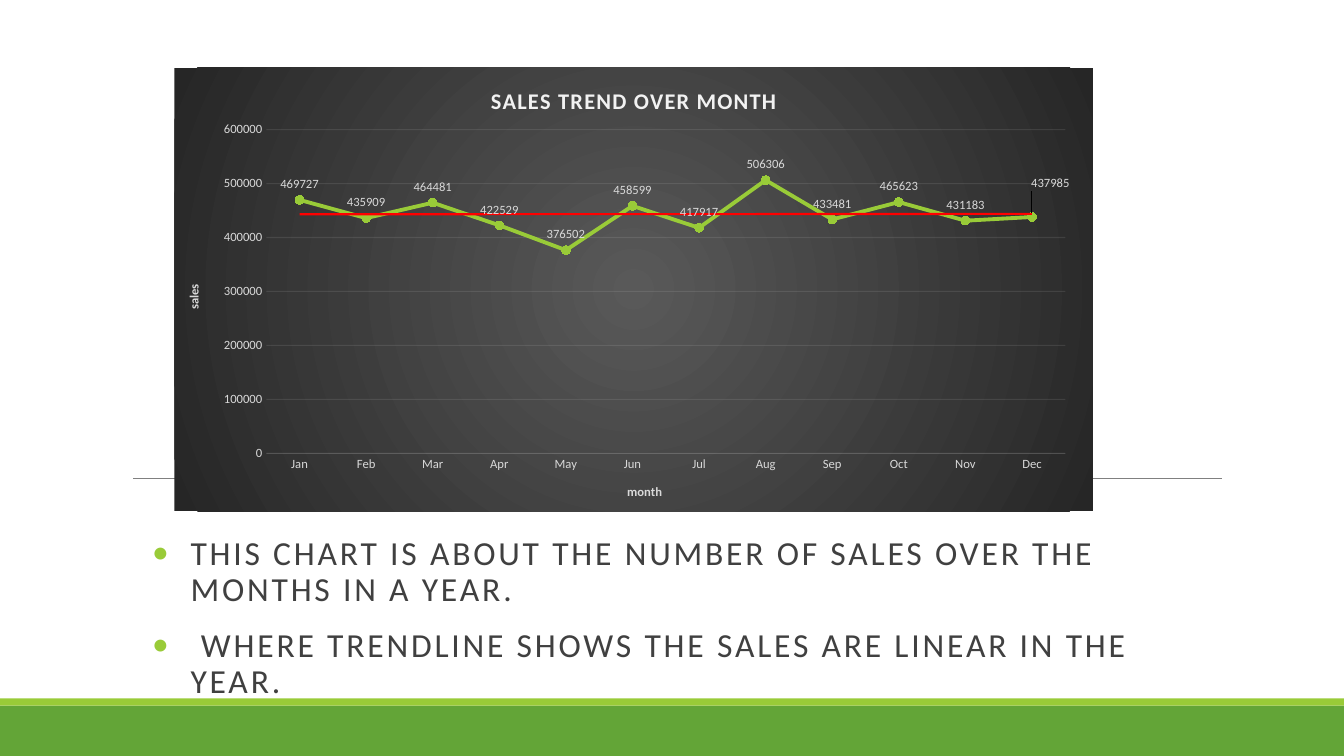
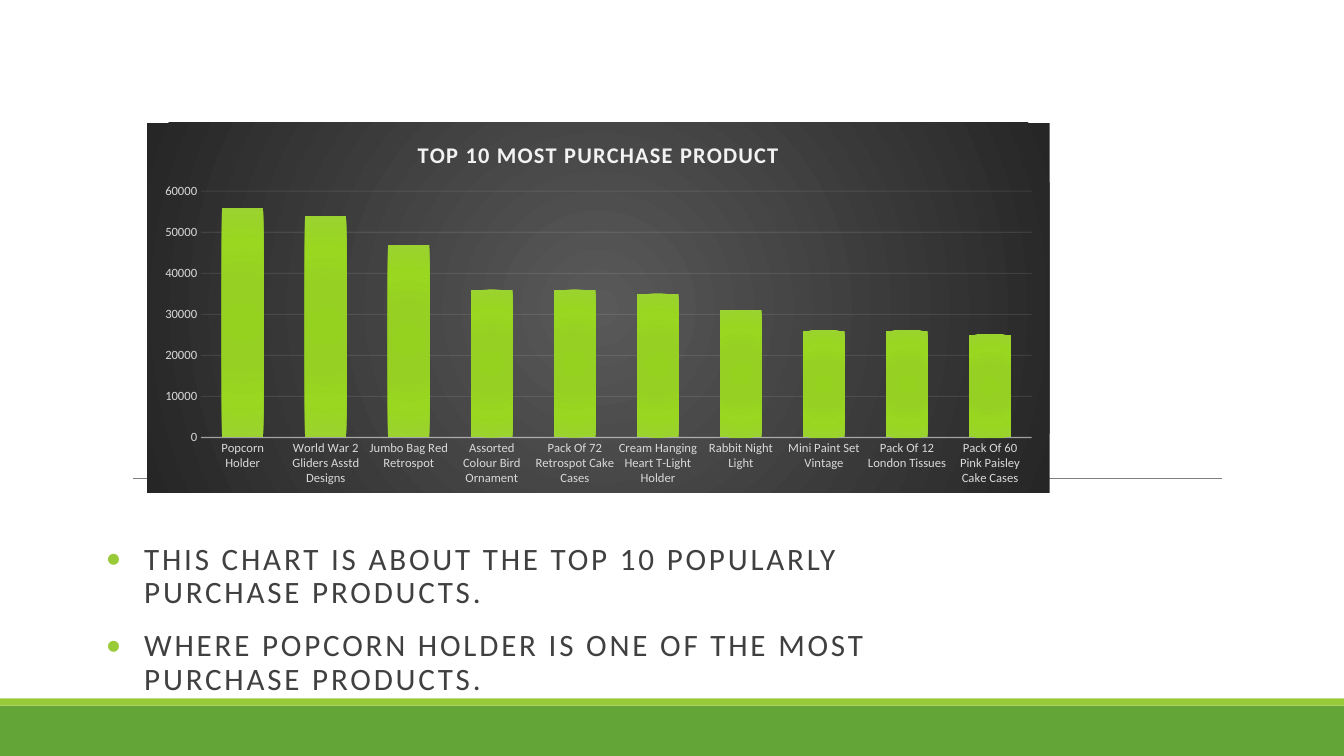
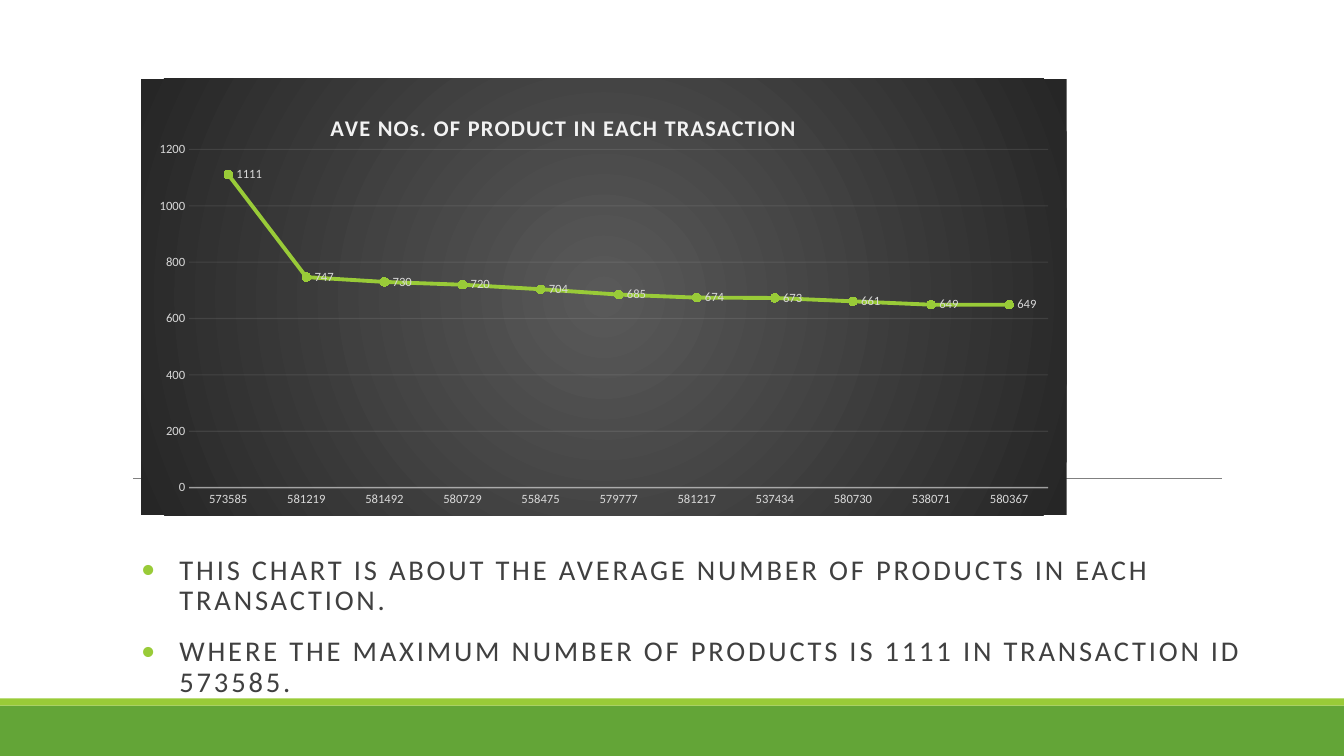
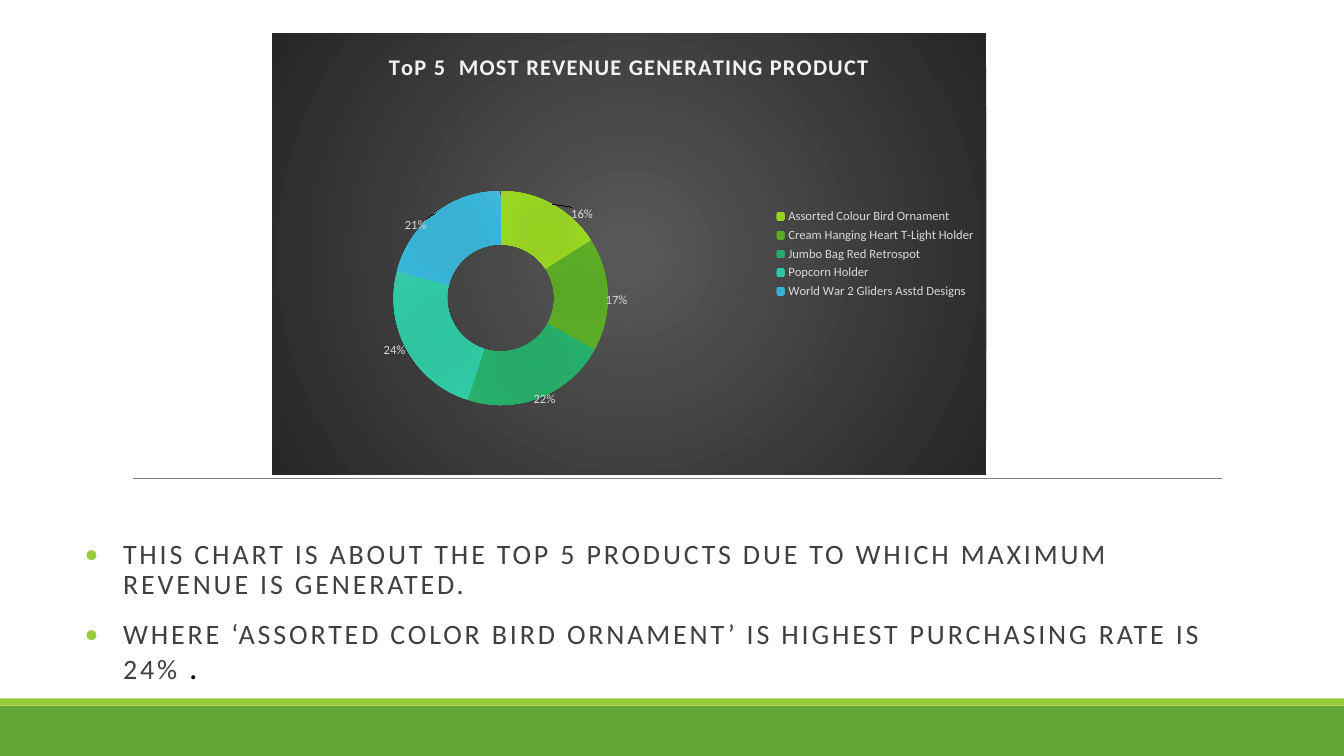
from dataclasses import dataclass

from lxml import etree
from pptx import Presentation
from pptx.chart.data import CategoryChartData
from pptx.dml.color import RGBColor
from pptx.enum.chart import (XL_CHART_TYPE, XL_LABEL_POSITION, XL_LEGEND_POSITION,
                             XL_MARKER_STYLE, XL_TICK_MARK)
from pptx.enum.shapes import MSO_CONNECTOR, MSO_SHAPE
from pptx.enum.text import MSO_ANCHOR, MSO_AUTO_SIZE
from pptx.oxml import parse_xml
from pptx.oxml.ns import nsdecls, qn
from pptx.util import Inches, Pt

LINE = XL_CHART_TYPE.LINE_MARKERS
STACK = XL_CHART_TYPE.LINE_MARKERS_STACKED
COLUMN = XL_CHART_TYPE.COLUMN_CLUSTERED
RING = XL_CHART_TYPE.DOUGHNUT
ABOVE = XL_LABEL_POSITION.ABOVE
RIGHT = XL_LEGEND_POSITION.RIGHT
CIRCLE = XL_MARKER_STYLE.CIRCLE
NO_TICK = XL_TICK_MARK.NONE
RECT = MSO_SHAPE.RECTANGLE
STRAIGHT = MSO_CONNECTOR.STRAIGHT
TOP = MSO_ANCHOR.TOP
FIXED = MSO_AUTO_SIZE.NONE


@dataclass(frozen=True)
class Theme:
    font: str = "Calibri"
    band: str = "63A537"
    lime: str = "99CB38"
    mark: str = "99D720"
    rule: str = "808080"
    body: str = "404040"
    black: str = "000000"
    pale: str = "F2F2F2"
    label: str = "D9D9D9"
    trend: str = "FF0000"
    panel: tuple = ((0, "595959"), (100, "262626"))
    fills: tuple = tuple(
        tuple(zip((0, 34, 70, 100), row.split())) for row in (
            "95D220 96D023 99D720 9BD231",
            "59A924 5BA827 5BAD25 62AB31",
            "24AB67 27AA68 24B06A 31AD6F",
            "2EC5A1 31C4A1 2FCAA5 3EC7A6",
            "37B1D3 3AB1D2 38B5D8 48B7D5"))
    head: float = 16
    base: float = 10
    small: float = 9
    large: float = 24


def rgb(code):
    return RGBColor.from_string(code)


def blend(stops, spot):
    marks = "".join(f'<a:gs pos="{at * 1000}"><a:srgbClr val="{code}"/></a:gs>'
                    for at, code in stops)
    edge = " ".join(f'{side}="{spot * 1000}"' for side in "ltrb")
    return parse_xml(f'<a:gradFill {nsdecls("a")}><a:gsLst>{marks}</a:gsLst>'
                     f'<a:path path="circle"><a:fillToRect {edge}/></a:path></a:gradFill>')


def place(parent, index, **parts):
    old = parent.find(qn("c:layout"))
    if old is not None:
        parent.remove(old)
    rows = "".join(f'<c:{key} val="{val}"/>' for key, val in parts.items())
    parent.insert(index, parse_xml(
        f'<c:layout {nsdecls("c")}><c:manualLayout>{rows}</c:manualLayout></c:layout>'))


class Deck:
    def __init__(self, theme):
        self.theme = theme
        self.show = Presentation()
        self.show.slide_width = Inches(13.33)
        self.show.slide_height = Inches(7.5)
        self.layout = self.show.slide_layouts[1]
        self.slide = None

    def page(self):
        first = self.slide is None
        self.slide = self.show.slides.add_slide(self.layout)
        title = self.slide.shapes.title.element
        title.getparent().remove(title)
        if first:
            self.frame()

    def frame(self):
        parts = [self.band(7, 0.5, self.theme.band),
                 self.band(6.93, 0.07, self.theme.lime),
                 self.rule(1.32, 12.12, 4.75)]
        tree = self.layout.element.cSld.spTree
        for at, part in enumerate(parts):
            part.element.xpath(".//p:cNvPr")[0].set("id", str(50 + at))
            tree.insert(2 + at, part.element)

    def band(self, top, height, code):
        band = self.slide.shapes.add_shape(
            RECT, 0, Inches(top), self.show.slide_width, Inches(height))
        band.shadow.inherit = False
        band.fill.solid()
        band.fill.fore_color.rgb = rgb(code)
        band.line.fill.background()
        return band

    def rule(self, left, right, top):
        rule = self.slide.shapes.add_connector(
            STRAIGHT, Inches(left), Inches(top), Inches(right), Inches(top))
        rule.line.color.rgb = rgb(self.theme.rule)
        rule.line.width = Pt(0.5)
        etree.SubElement(rule.element.spPr, qn("a:effectLst"))
        return rule

    def style(self, font, size, code, bold=False):
        font.name = self.theme.font
        font.size = Pt(size)
        font.bold = bold
        font.color.rgb = rgb(code)

    def text(self, para, words, size, code, bold=False):
        run = para.add_run()
        run.text = words
        self.style(run.font, size, code, bold)

    def bullets(self, box, size, items):
        body = self.slide.placeholders[1]
        body.left, body.top, body.width, body.height = map(Inches, box)
        frame = body.text_frame
        frame.word_wrap = True
        frame.auto_size = FIXED
        frame.vertical_anchor = TOP
        for at, runs in enumerate(items):
            para = frame.add_paragraph() if at else frame.paragraphs[0]
            para.line_spacing = 0.9
            para.space_before = Pt(12)
            para.space_after = Pt(2)
            for words, *look in runs:
                self.text(para, words, *(look or (size, self.theme.body)))
        for props in body.element.xpath(".//a:pPr"):
            props.set("marL", str(Inches(0.38)))
            props.set("indent", str(Inches(-0.38)))
            tint = etree.SubElement(props, qn("a:buClr"))
            etree.SubElement(tint, qn("a:srgbClr"), val=self.theme.lime)
            etree.SubElement(props, qn("a:buFont"), typeface=self.theme.font)
            etree.SubElement(props, qn("a:buChar"), char="\u2022")
        for props in body.element.xpath(".//a:rPr"):
            props.set("spc", "200")

    def chart(self, kind, box, title, cats, vals, form="General"):
        data = CategoryChartData(number_format=form)
        data.categories = cats
        data.add_series("Series 1", vals)
        chart = self.slide.shapes.add_chart(kind, *map(Inches, box), data).chart
        self.style(chart.font, self.theme.base, self.theme.black)
        chart.has_legend = False
        chart.has_title = True
        self.text(chart.chart_title.text_frame.paragraphs[0], title,
                  self.theme.head, self.theme.pale, True)
        root = chart.element
        root.xpath("c:chart/c:title//a:rPr")[0].set("spc", "100")
        panel = parse_xml(f'<c:spPr {nsdecls("c", "a")}><a:ln><a:noFill/></a:ln></c:spPr>')
        panel.insert(0, blend(self.theme.panel, 50))
        root.xpath("c:chart")[0].addnext(panel)
        chart.plots[0].vary_by_categories = kind == RING
        return chart

    def axes(self, chart, top, step, width=1, alpha=54):
        cat, val = chart.category_axis, chart.value_axis
        for axis in (cat, val):
            axis.major_tick_mark = axis.minor_tick_mark = NO_TICK
            self.style(axis.tick_labels.font, self.theme.small, self.theme.label)
        val.minimum_scale, val.maximum_scale, val.major_unit = 0, top, step
        val.format.line.fill.background()
        val.has_major_gridlines = True
        for line, size, node, share in (
                (cat.format.line, width, "c:catAx/c:spPr", alpha),
                (val.major_gridlines.format.line, 0.75, "c:majorGridlines/c:spPr", 10)):
            line.color.rgb = rgb(self.theme.pale)
            line.width = Pt(size)
            for tint in chart.element.xpath(f".//{node}/a:ln//a:srgbClr"):
                etree.SubElement(tint, qn("a:alpha"), val=str(share * 1000))

    def names(self, chart, cat, val):
        for axis, words in ((chart.category_axis, cat), (chart.value_axis, val)):
            self.text(axis.axis_title.text_frame.paragraphs[0], words,
                      self.theme.small, self.theme.label, True)
        turn = chart.element.xpath(".//c:valAx/c:title//a:bodyPr")[0]
        turn.set("rot", "-5400000")
        turn.set("vert", "horz")

    def stroke(self, chart):
        line = chart.plots[0].series[0]
        line.smooth = False
        line.format.line.color.rgb = rgb(self.theme.lime)
        line.format.line.width = Pt(2.75)
        line.marker.style = CIRCLE
        line.marker.size = 6
        line.marker.format.fill.solid()
        line.marker.format.fill.fore_color.rgb = rgb(self.theme.mark)
        line.marker.format.line.color.rgb = rgb(self.theme.lime)

    def trend(self, chart):
        chart.element.xpath(".//c:ser/c:cat")[0].addprevious(parse_xml(
            f'<c:trendline {nsdecls("c", "a")}><c:spPr><a:ln w="{Pt(1.5)}"><a:solidFill>'
            f'<a:srgbClr val="{self.theme.trend}"/></a:solidFill></a:ln></c:spPr>'
            '<c:trendlineType val="linear"/><c:dispRSqr val="0"/><c:dispEq val="0"/>'
            '</c:trendline>'))

    def labels(self, chart, spot=None, form=None, shifts=()):
        series = chart.plots[0].series[0]
        labels = series.data_labels
        labels.show_value = True
        self.style(labels.font, self.theme.small, self.theme.label)
        if spot is not None:
            labels.position = spot
        if form:
            labels.number_format = form
            labels.number_format_is_linked = False
        for at, _, _ in shifts:
            label = series.points[at].data_label
            self.style(label.font, self.theme.small, self.theme.label)
            if spot is not None:
                label.position = spot
        for node, (_, x, y) in zip(chart.element.xpath(".//c:dLbl"), shifts):
            place(node, 1, x=x, y=y)

    def plot(self, chart, x, y, w, h):
        place(chart.element.xpath(".//c:plotArea")[0], 0, layoutTarget="inner",
              xMode="edge", yMode="edge", x=x, y=y, w=w, h=h)

    def shade(self, chart, parts):
        for part in parts:
            part.format.fill.solid()
            part.format.line.fill.background()
        solids = chart.element.xpath(".//c:ser//c:spPr/a:solidFill")
        for solid, stops in zip(solids, self.theme.fills):
            solid.getparent().replace(solid, blend(stops, 100))

    def legend(self, chart):
        chart.has_legend = True
        chart.legend.position = RIGHT
        chart.legend.include_in_layout = False
        self.style(chart.legend.font, self.theme.small, self.theme.label)


def sales(deck):
    deck.page()
    chart = deck.chart(
        LINE, (1.73, 0.67, 9.11, 4.4), "SALES TREND OVER MONTH",
        "Jan Feb Mar Apr May Jun Jul Aug Sep Oct Nov Dec".split(),
        (469727, 435909, 464481, 422529, 376502, 458599,
         417917, 506306, 433481, 465623, 431183, 437985))
    deck.axes(chart, 600000, 100000, 0.75, 10)
    deck.names(chart, "month", "sales")
    deck.stroke(chart)
    deck.labels(chart, ABOVE, shifts=((11, 0.02, -0.04),))
    deck.trend(chart)
    deck.plot(chart, 0.1, 0.14, 0.87, 0.73)
    deck.bullets((1.41, 5.27, 10.34, 2), 24, [
        [("THIS CHART IS ABOUT THE NUMBER OF SALES OVER THE MONTHS IN A YEAR.",)],
        [(" WHERE TRENDLINE SHOWS THE SALES ARE LINEAR IN THE YEAR.",)]])


def goods(deck):
    deck.page()
    chart = deck.chart(
        COLUMN, (1.46, 1.22, 8.95, 3.67), "TOP 10 MOST PURCHASE PRODUCT",
        ("Popcorn Holder", "World War 2 Gliders Asstd Designs",
         "Jumbo Bag Red Retrospot", "Assorted Colour Bird Ornament",
         "Pack Of 72 Retrospot Cake Cases", "Cream Hanging Heart T-Light Holder",
         "Rabbit Night Light", "Mini Paint Set Vintage",
         "Pack Of 12 London Tissues", "Pack Of 60 Pink Paisley Cake Cases"),
        (56000, 54000, 47000, 36000, 36000, 35000, 31000, 26000, 26000, 25000))
    deck.axes(chart, 60000, 10000)
    bars = chart.plots[0]
    bars.gap_width = 100
    bars.overlap = -24
    deck.shade(chart, bars.series)
    deck.bullets((0.95, 5.34, 8.11, 1.72), 22.2, [
        [("THIS CHART IS ABOUT THE TOP 10 POPULARLY PURCHASE PRODUCTS.",)],
        [("WHERE POPCORN HOLDER IS ONE OF THE MOST PURCHASE PRODUCTS.",)]])


def orders(deck):
    deck.page()
    chart = deck.chart(
        STACK, (1.4, 0.78, 9.18, 4.33), "AVE NOs. OF PRODUCT IN EACH TRASACTION",
        ("573585 581219 581492 580729 558475 579777 "
         "581217 537434 580730 538071 580367").split(),
        (1111, 747, 730, 720, 704, 685, 674, 673, 661, 649, 649))
    deck.axes(chart, 1200, 200)
    deck.stroke(chart)
    deck.labels(chart)
    place(chart.element.xpath("c:chart/c:title")[0], 1,
          xMode="edge", yMode="edge", x=0.2, y=0.07)
    deck.bullets((1.3, 5.46, 11.5, 1.64), 20.4, [
        [("THIS CHART IS ABOUT THE AVERAGE NUMBER OF PRODUCTS IN EACH TRANSACTION.",)],
        [("WHERE THE MAXIMUM NUMBER OF PRODUCTS IS 1111 IN TRANSACTION ID 573585.",)]])


def income(deck):
    deck.page()
    chart = deck.chart(
        RING, (2.7, 0.33, 7.08, 4.38), "ToP 5  MOST REVENUE GENERATING PRODUCT",
        ("Assorted Colour Bird Ornament", "Cream Hanging Heart T-Light Holder",
         "Jumbo Bag Red Retrospot", "Popcorn Holder",
         "World War 2 Gliders Asstd Designs"),
        (0.16, 0.17, 0.22, 0.24, 0.21), "0%")
    points = chart.plots[0].series[0].points
    deck.shade(chart, [points[at] for at in range(5)])
    deck.labels(chart, form="0%", shifts=(
        (0, 0.06, -0.03), (1, 0.05, 0.01), (2, 0.02, 0.06),
        (3, -0.05, 0.03), (4, -0.05, -0.02)))
    deck.legend(chart)
    deck.plot(chart, 0.17, 0.35, 0.3, 0.5)
    chart.element.xpath(".//c:holeSize")[0].set("val", "75")
    deck.bullets((0.74, 5.31, 11.5, 1.64), 20, [
        [("THIS CHART IS ABOUT THE TOP 5 PRODUCTS DUE TO WHICH MAXIMUM "
          "REVENUE IS GENERATED.",)],
        [("WHERE \u2018ASSORTED COLOR BIRD ORNAMENT\u2019 IS HIGHEST PURCHASING "
          "RATE IS 24% ",),
         (".", deck.theme.large, deck.theme.black)]])


deck = Deck(Theme())
for build in (sales, goods, orders, income):
    build(deck)
deck.show.save("out.pptx")
